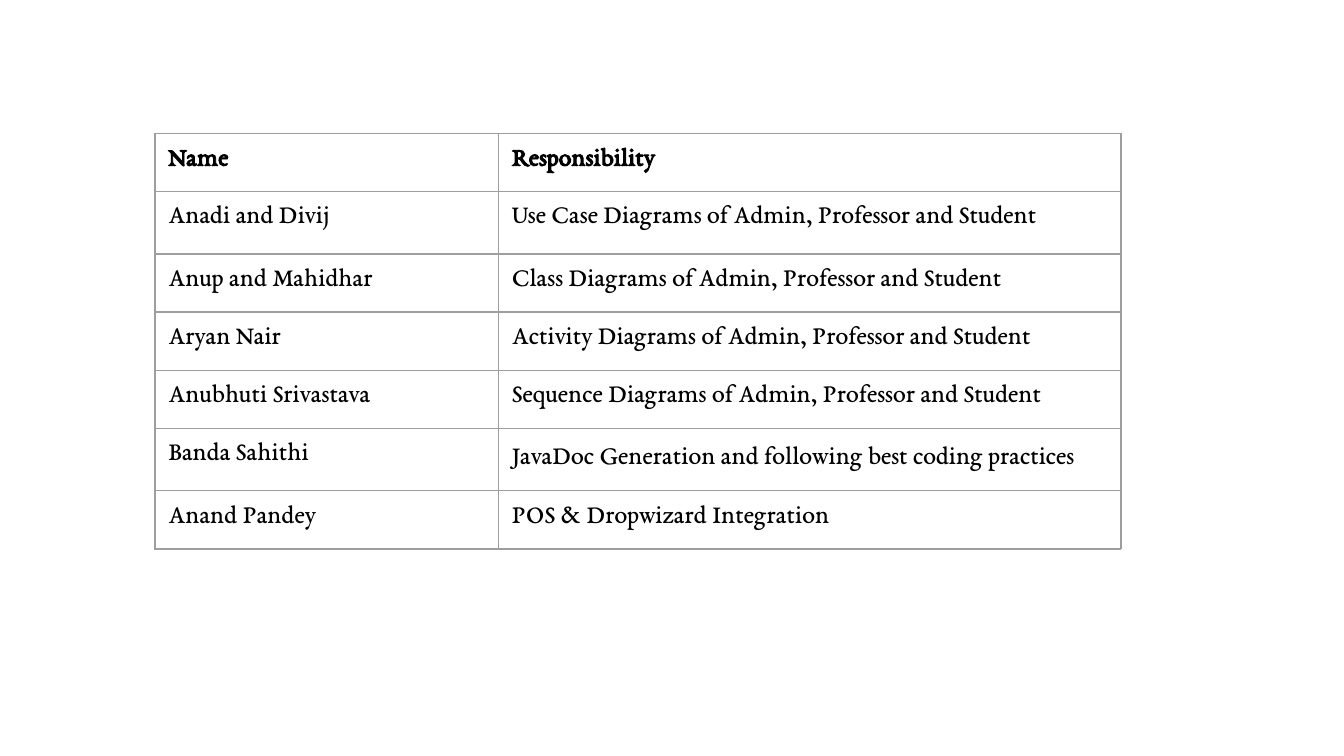
from lxml import etree
from pptx import Presentation
from pptx.dml.color import RGBColor
from pptx.oxml.ns import qn
from pptx.util import Pt

BLACK = RGBColor(0x00, 0x00, 0x00)
GREY = RGBColor(0x9E, 0x9E, 0x9E)
FONT = "EB Garamond"
INSET = Pt(7.2)
WIDTHS = [184, 333.5]
LOW, HIGH = 31.1, 33.6

ROWS = [
    ("Name", "Responsibility", LOW),
    ("Anadi and Divij", "Use Case Diagrams of Admin, Professor and Student", HIGH),
    ("Anup and Mahidhar", "Class Diagrams of Admin, Professor and Student", LOW),
    ("Aryan Nair", "Activity Diagrams of Admin, Professor and Student", LOW),
    ("Anubhuti Srivastava", "Sequence Diagrams of Admin, Professor and Student", LOW),
    ("Banda Sahithi", "JavaDoc Generation and following best coding practices", HIGH),
    ("Anand Pandey", "POS & Dropwizard Integration", LOW),
]


def add_borders(cell):
    props = cell._tc.get_or_add_tcPr()
    for side in ("a:lnL", "a:lnR", "a:lnT", "a:lnB"):
        line = etree.SubElement(props, qn(side), w=str(Pt(0.75)))
        fill = etree.SubElement(line, qn("a:solidFill"))
        etree.SubElement(fill, qn("a:srgbClr"), val=str(GREY))


deck = Presentation()
deck.slide_width, deck.slide_height = Pt(720), Pt(405)
slide = deck.slides.add_slide(deck.slide_layouts[6])

height = sum(row[-1] for row in ROWS)
frame = slide.shapes.add_table(len(ROWS), len(WIDTHS), Pt(83), Pt(71.4),
                               Pt(sum(WIDTHS)), Pt(height))
table = frame.table
table.first_row = False
table.horz_banding = False
for column, width in zip(table.columns, WIDTHS):
    column.width = Pt(width)

for r, (name, duty, tall) in enumerate(ROWS):
    table.rows[r].height = Pt(tall)
    for c, text in enumerate((name, duty)):
        cell = table.cell(r, c)
        cell.margin_left = cell.margin_right = INSET
        cell.margin_top = cell.margin_bottom = INSET
        add_borders(cell)
        cell.fill.background()
        cell.text_frame.text = text
        font = cell.text_frame.paragraphs[0].runs[0].font
        font.name = FONT
        font.size = Pt(14)
        font.bold = r == 0
        font.color.rgb = BLACK

# The JavaDoc line is set a little looser than the rest
table.cell(5, 1).text_frame.paragraphs[0].line_spacing = 1.15

deck.save("out.pptx")
